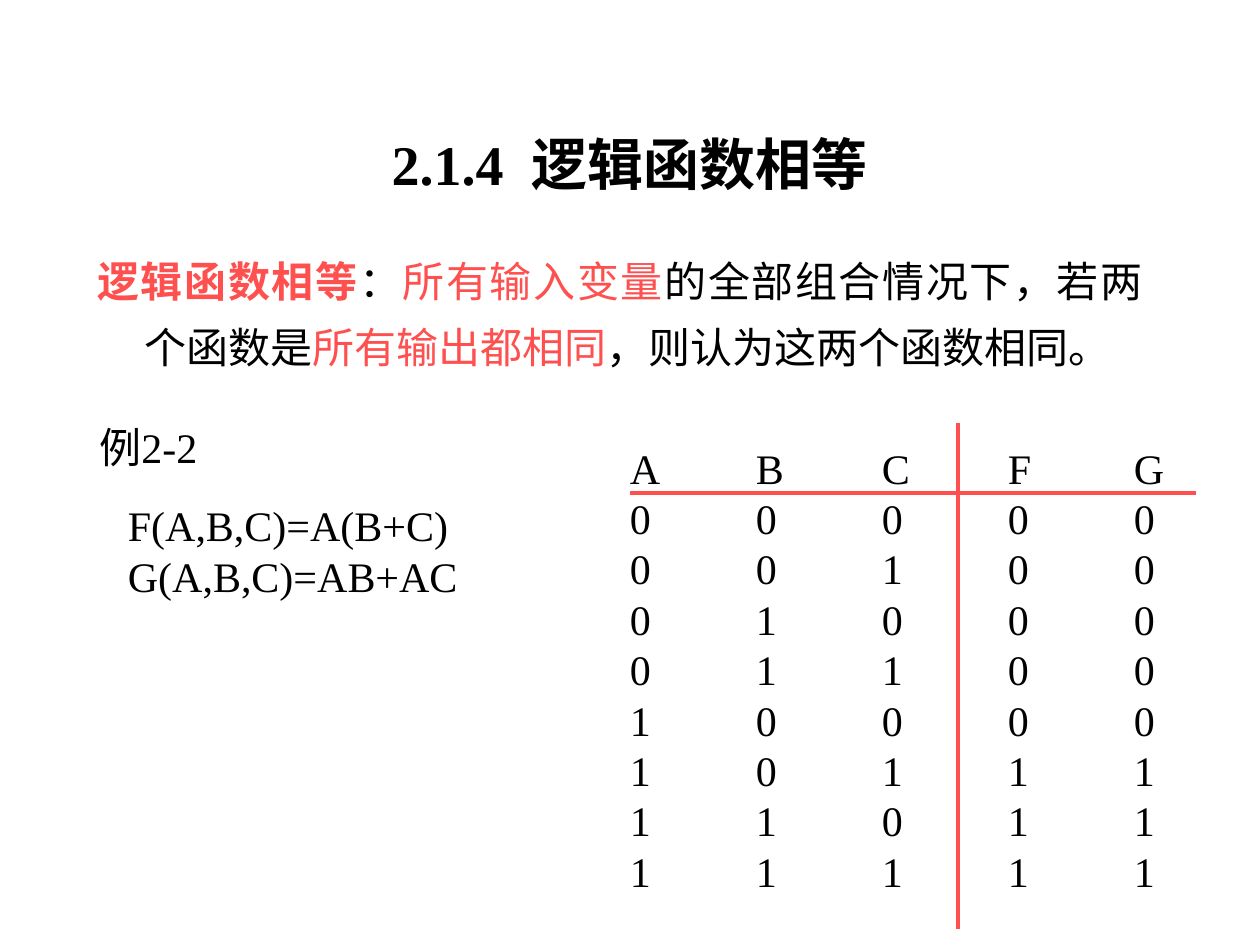
from dataclasses import dataclass
from itertools import product

from lxml.etree import SubElement
from pptx import Presentation
from pptx.dml.color import RGBColor
from pptx.enum.shapes import MSO_CONNECTOR as Connector
from pptx.enum.text import MSO_ANCHOR as Anchor, MSO_AUTO_SIZE as AutoSize, PP_ALIGN as Align
from pptx.oxml.ns import qn
from pptx.util import Pt


@dataclass(frozen=True)
class Theme:
    font: str = "Times New Roman"
    ink: RGBColor = RGBColor(0x00, 0x00, 0x00)
    accent: RGBColor = RGBColor(0xFF, 0x50, 0x50)
    title_size: float = 32
    body_size: float = 24
    rule_width: float = 2.25
    column_width: float = 72


@dataclass(frozen=True)
class Box:
    left: float
    top: float
    width: float
    height: float


@dataclass(frozen=True)
class Note:
    box: Box
    lines: tuple[str, ...]
    columns: int = 1


@dataclass(frozen=True)
class Rule:
    x1: float
    y1: float
    x2: float
    y2: float


@dataclass(frozen=True)
class Phrase:
    text: str
    accented: bool = False
    bold: bool = False


THEME = Theme()
TITLE = "2.1.4  逻辑函数相等"
TITLE_BOX = Box(54, 48.24, 612, 90)
DEFINITION_BOX = Box(48.24, 133.92, 612, 87.84)
DEFINITION = (
    Phrase("逻辑函数相等", accented=True, bold=True),
    Phrase("："),
    Phrase("所有输入变量", accented=True),
    Phrase("的全部组合情况下，若两个函数是"),
    Phrase("所有输出都相同", accented=True),
    Phrase("，则认为这两个函数相同。"),
)
TRUTH_ROWS = [("A", "B", "C", "F", "G")] + [
    (a, b, c, a & (b | c), a & b | a & c) for a, b, c in product((0, 1), repeat=3)
]
NOTES = (
    Note(Box(49.68, 237.6, 76.32, 36), ("例2-2",)),
    Note(Box(66, 282, 204, 64.8), ("F(A,B,C)=A(B+C)", "G(A,B,C)=AB+AC")),
    Note(
        Box(352.8, 249.12, 319.68, 295.2),
        tuple("\t".join(map(str, row)) for row in TRUTH_ROWS),
        columns=len(TRUTH_ROWS[0]),
    ),
)
RULES = (Rule(547.2, 241.92, 547.2, 530.64), Rule(360, 281.52, 683.28, 281.52))


def style_run(run, size: float, color: RGBColor, bold: bool = False) -> None:
    """Apply the theme font to one run."""
    run.font.name = THEME.font
    run.font.size = Pt(size)
    run.font.bold = bold
    run.font.color.rgb = color


def place(shape, box: Box) -> None:
    """Move and size a placeholder."""
    shape.left, shape.top = Pt(box.left), Pt(box.top)
    shape.width, shape.height = Pt(box.width), Pt(box.height)


def fill_title(title) -> None:
    """Write the section heading."""
    place(title, TITLE_BOX)
    title.text_frame.text = TITLE
    title.text_frame.vertical_anchor = Anchor.MIDDLE
    heading = title.text_frame.paragraphs[0]
    heading.alignment = Align.CENTER
    style_run(heading.runs[0], THEME.title_size, THEME.ink, bold=True)


def fill_definition(body) -> None:
    """Write the definition with a hanging indent and accented phrases."""
    place(body, DEFINITION_BOX)
    body.text_frame.auto_size = AutoSize.NONE
    definition = body.text_frame.paragraphs[0]
    properties = definition._p.get_or_add_pPr()
    properties.set("marL", str(Pt(27)))
    properties.set("indent", str(Pt(-27)))
    SubElement(properties, qn("a:buNone"))
    definition.alignment = Align.JUSTIFY
    definition.line_spacing = 1.3
    definition.space_before = Pt(0)
    for phrase in DEFINITION:
        run = definition.add_run()
        run.text = phrase.text
        style_run(run, THEME.body_size, THEME.accent if phrase.accented else THEME.ink, phrase.bold)


def add_column_tabs(paragraph, columns: int) -> None:
    """Set one left tab stop for each column after the first."""
    tabs = SubElement(paragraph._p.get_or_add_pPr(), qn("a:tabLst"))
    for column in range(1, columns):
        SubElement(tabs, qn("a:tab"), pos=str(Pt(column * THEME.column_width)), algn="l")


def add_note(slide, note: Note) -> None:
    """Add a text box with one paragraph for each line."""
    box = note.box
    frame = slide.shapes.add_textbox(
        Pt(box.left), Pt(box.top), Pt(box.width), Pt(box.height)
    ).text_frame
    frame.word_wrap = False
    frame.auto_size = AutoSize.SHAPE_TO_FIT_TEXT
    frame.text = "\n".join(note.lines)
    for paragraph in frame.paragraphs:
        if note.columns > 1:
            add_column_tabs(paragraph, note.columns)
        style_run(paragraph.runs[0], THEME.body_size, THEME.ink)


def add_rule(slide, rule: Rule) -> None:
    """Add a plain line of the truth table."""
    line = slide.shapes.add_connector(
        Connector.STRAIGHT, Pt(rule.x1), Pt(rule.y1), Pt(rule.x2), Pt(rule.y2)
    )
    line.line.color.rgb = THEME.accent
    line.line.width = Pt(THEME.rule_width)
    SubElement(line._element.spPr, qn("a:effectLst"))


def main() -> None:
    """Build the slide and save it."""
    deck = Presentation()
    deck.slide_width, deck.slide_height = Pt(720), Pt(540)
    slide = deck.slides.add_slide(deck.slide_layouts[1])
    fill_title(slide.shapes.title)
    fill_definition(slide.placeholders[1])
    for note in NOTES:
        add_note(slide, note)
    for rule in RULES:
        add_rule(slide, rule)
    deck.save("out.pptx")


if __name__ == "__main__":
    main()
